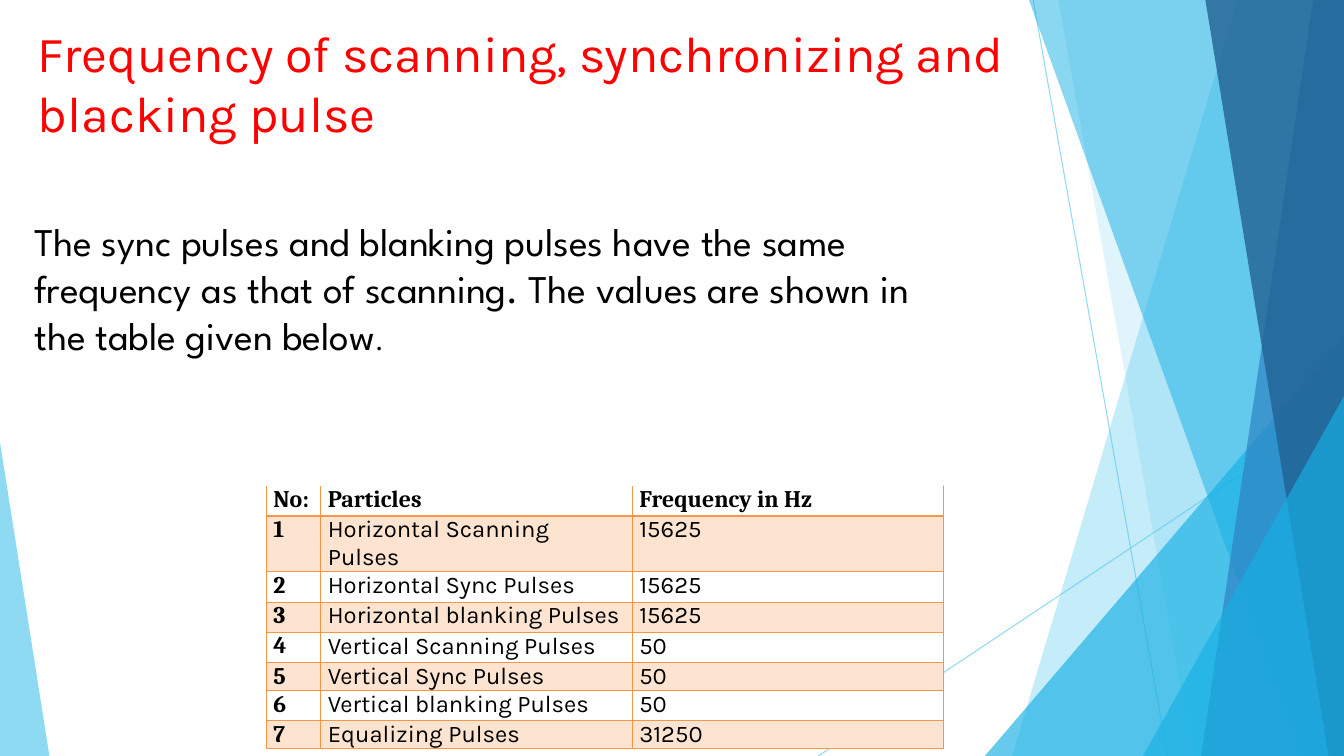
import pptx
import pptx.util
import pptx.dml.color
import pptx.enum.shapes
import pptx.enum.text
import pptx.oxml
import pptx.oxml.ns
import lxml.etree

Pt = pptx.util.Pt
RGBColor = pptx.dml.color.RGBColor
Shapes = pptx.enum.shapes.MSO_SHAPE
Anchor = pptx.enum.text.MSO_ANCHOR
Align = pptx.enum.text.PP_ALIGN
qn = pptx.oxml.ns.qn

WIDTH, HEIGHT = 960, 540
WHITE = RGBColor(0xFF, 0xFF, 0xFF)
BLACK = RGBColor(0, 0, 0)
RED = RGBColor(0xFF, 0, 0)
SKY = RGBColor(0x5F, 0xCB, 0xEF)
CYAN = RGBColor(0x17, 0xB0, 0xE4)
BLUE = RGBColor(0x2E, 0x83, 0xC3)
NAVY = RGBColor(0x22, 0x62, 0x92)
ORANGE = RGBColor(0xF7, 0x96, 0x46)
PEACH = RGBColor(0xFD, 0xE4, 0xD0)

TITLE = "Frequency of scanning, synchronizing and blacking pulse"
STATEMENT = ("The sync pulses and blanking pulses have the same frequency as that of "
             "scanning. The values are shown in the table given below")
HEADINGS = ("No:", "Particles", "Frequency in Hz")
PULSES = [
    ("Horizontal Scanning Pulses", 15625),
    ("Horizontal Sync Pulses", 15625),
    ("Horizontal blanking Pulses", 15625),
    ("Vertical Scanning Pulses", 50),
    ("Vertical Sync Pulses", 50),
    ("Vertical blanking Pulses", 50),
    ("Equalizing Pulses", 31250),
]
COLUMN_WIDTHS = (38.9, 222.5, 222.5)
ROW_HEIGHTS = (21.6, 21.6, 21.6, 21.6, 21.6, 13.7, 21.6, 13.7)

RAYS = [((738, 0), (834, HEIGHT)), ((WIDTH, 290), (584.5, HEIGHT))]
BANDS = [
    ("band", 884, 723, SKY, 36),
    ("band", 756, 852, SKY, 20),
    ("triangle", (703.5, 240, 256.5, 300), 1, CYAN, 66),
    ("band", 735, 929.5, CYAN, 50),
    ("band", 938, 858, BLUE, 70),
    ("band", 861, 949, NAVY, 80),
    ("triangle", (816.5, 283, 143.5, 257), 1, CYAN, 66),
    ("triangle", (0, 316, 35.3, 224), 0, SKY, 70),
]


def set_alpha(fill_format_parent, percent):
    color = fill_format_parent.find(".//" + qn("a:srgbClr"))
    lxml.etree.SubElement(color, qn("a:alpha")).set("val", str(percent * 1000))


def style_run(run, size, font, color, bold=False):
    run.font.size = Pt(size)
    run.font.name = font
    run.font.color.rgb = color
    run.font.bold = bold


def add_ray(slide, start, end):
    ray = slide.shapes.add_connector(
        pptx.enum.shapes.MSO_CONNECTOR.STRAIGHT, *(Pt(value) for value in start + end))
    ray.line.color.rgb = SKY
    ray.line.width = Pt(0.75)
    properties = ray._element.spPr
    set_alpha(properties, 70)
    lxml.etree.SubElement(properties, qn("a:effectLst"))


def add_band(slide, kind, first, second, color, opacity):
    if kind == "band":
        builder = slide.shapes.build_freeform(Pt(first), Pt(0))
        corners = [(WIDTH, 0), (WIDTH, HEIGHT), (second, HEIGHT)]
        builder.add_line_segments([(Pt(x), Pt(y)) for x, y in corners], close=True)
        shape = builder.convert_to_shape()
    else:
        shape = slide.shapes.add_shape(
            Shapes.ISOSCELES_TRIANGLE, *(Pt(value) for value in first))
        shape.adjustments[0] = second
    shape.shadow.inherit = False
    shape.line.fill.background()
    shape.fill.solid()
    shape.fill.fore_color.rgb = color
    set_alpha(shape._element.spPr, opacity)


def set_borders(cell, widths):
    properties = cell._tc.get_or_add_tcPr()
    for position, (side, width) in enumerate(widths.items()):
        border = pptx.oxml.parse_xml(
            f'<a:{side} {pptx.oxml.ns.nsdecls("a")} w="{Pt(width)}"><a:solidFill>'
            f'<a:srgbClr val="{ORANGE}"/></a:solidFill></a:{side}>')
        properties.insert(position, border)


def add_frequency_table(slide):
    rows = [HEADINGS] + [(number, *pulse) for number, pulse in enumerate(PULSES, 1)]
    table = slide.shapes.add_table(
        len(rows), len(HEADINGS), Pt(190.3), Pt(347),
        Pt(sum(COLUMN_WIDTHS)), Pt(sum(ROW_HEIGHTS))).table
    for column, width in zip(table.columns, COLUMN_WIDTHS):
        column.width = Pt(width)
    for row_index, (values, height) in enumerate(zip(rows, ROW_HEIGHTS)):
        table.rows[row_index].height = Pt(height)
        for column_index, value in enumerate(values):
            cell = table.cell(row_index, column_index)
            cell.text_frame.text = str(value)
            cell.margin_left = cell.margin_right = Pt(5)
            cell.margin_top = cell.margin_bottom = Pt(0)
            cell.fill.solid()
            cell.fill.fore_color.rgb = PEACH if row_index % 2 else WHITE
            strong = row_index == 0 or column_index == 0
            style_run(cell.text_frame.paragraphs[0].runs[0], 17,
                      "Cambria" if strong else "Karla", BLACK, strong)
            widths = dict.fromkeys(("lnL", "lnR", "lnT", "lnB"), 1)
            if column_index and row_index < 2:
                widths["lnT" if row_index else "lnB"] = 2.25
            set_borders(cell, widths)


def add_statement(slide):
    panel = slide.shapes.add_shape(
        Shapes.RECTANGLE, Pt(24.5), Pt(118), Pt(649.5), Pt(229))
    panel.shadow.inherit = False
    panel.fill.solid()
    panel.fill.fore_color.rgb = WHITE
    panel.line.fill.background()
    frame = panel.text_frame
    frame.word_wrap = True
    frame.vertical_anchor = Anchor.TOP
    frame.margin_left = frame.margin_right = frame.margin_bottom = Pt(0)
    frame.margin_top = Pt(37)
    frame.text = STATEMENT
    paragraph = frame.paragraphs[0]
    paragraph.alignment = Align.LEFT
    style_run(paragraph.runs[0], 28, "League Spartan", BLACK)
    full_stop = paragraph.add_run()
    full_stop.text = "."
    style_run(full_stop, 20, "League Spartan", BLACK)


def add_title(slide):
    title = slide.shapes.title
    title.left, title.top, title.width, title.height = Pt(19.5), Pt(12), Pt(710), Pt(130)
    frame = title.text_frame
    frame.text = TITLE
    frame.word_wrap = True
    frame.auto_size = pptx.enum.text.MSO_AUTO_SIZE.NONE
    frame.vertical_anchor = Anchor.TOP
    paragraph = frame.paragraphs[0]
    paragraph.alignment = Align.LEFT
    style_run(paragraph.runs[0], 36, "Karla", RED)


presentation = pptx.Presentation()
presentation.slide_width, presentation.slide_height = Pt(WIDTH), Pt(HEIGHT)
slide = presentation.slides.add_slide(presentation.slide_layouts[5])
add_title(slide)
for start, end in RAYS:
    add_ray(slide, start, end)
for band in BANDS:
    add_band(slide, *band)
add_frequency_table(slide)
add_statement(slide)
presentation.save("out.pptx")
